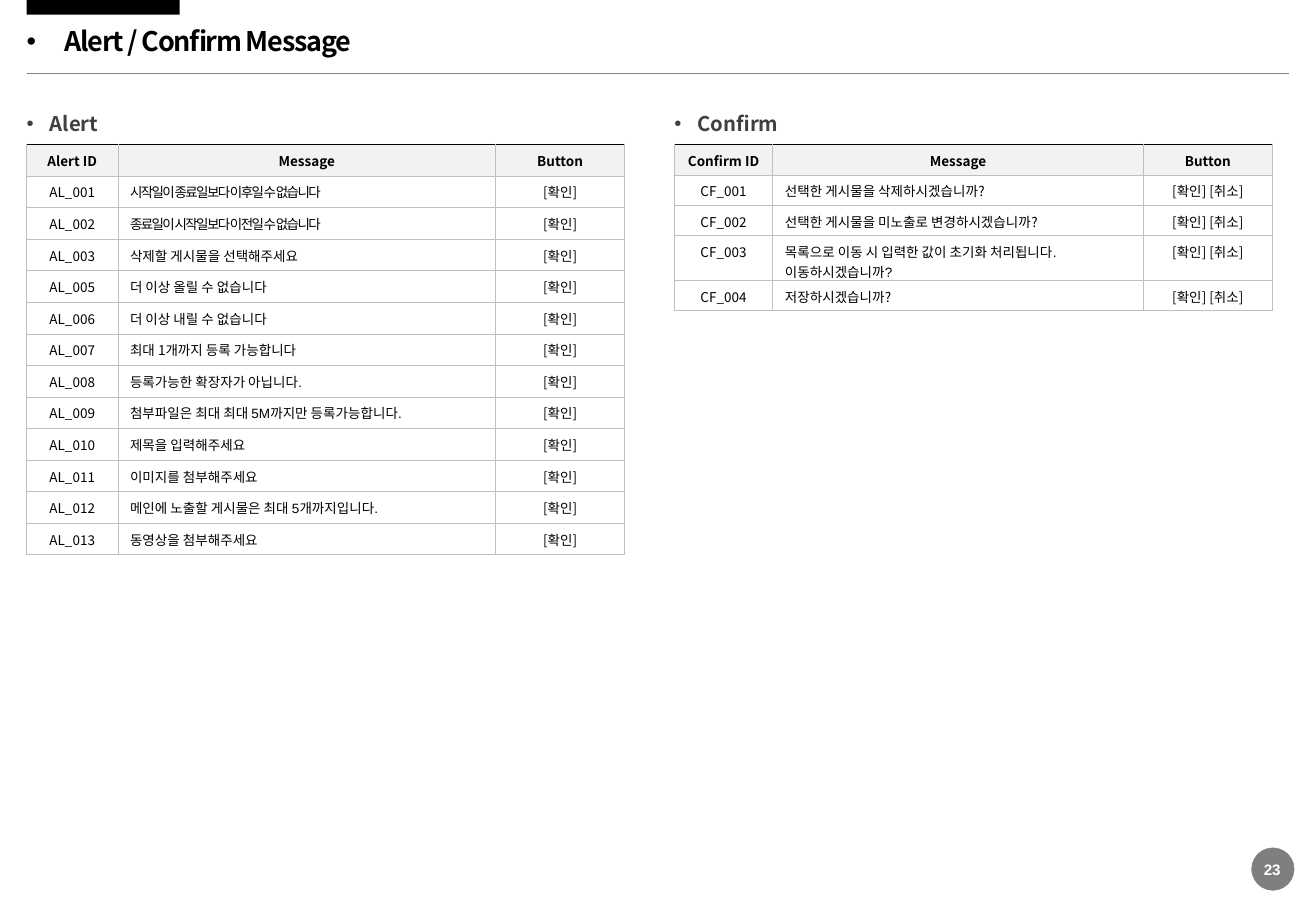
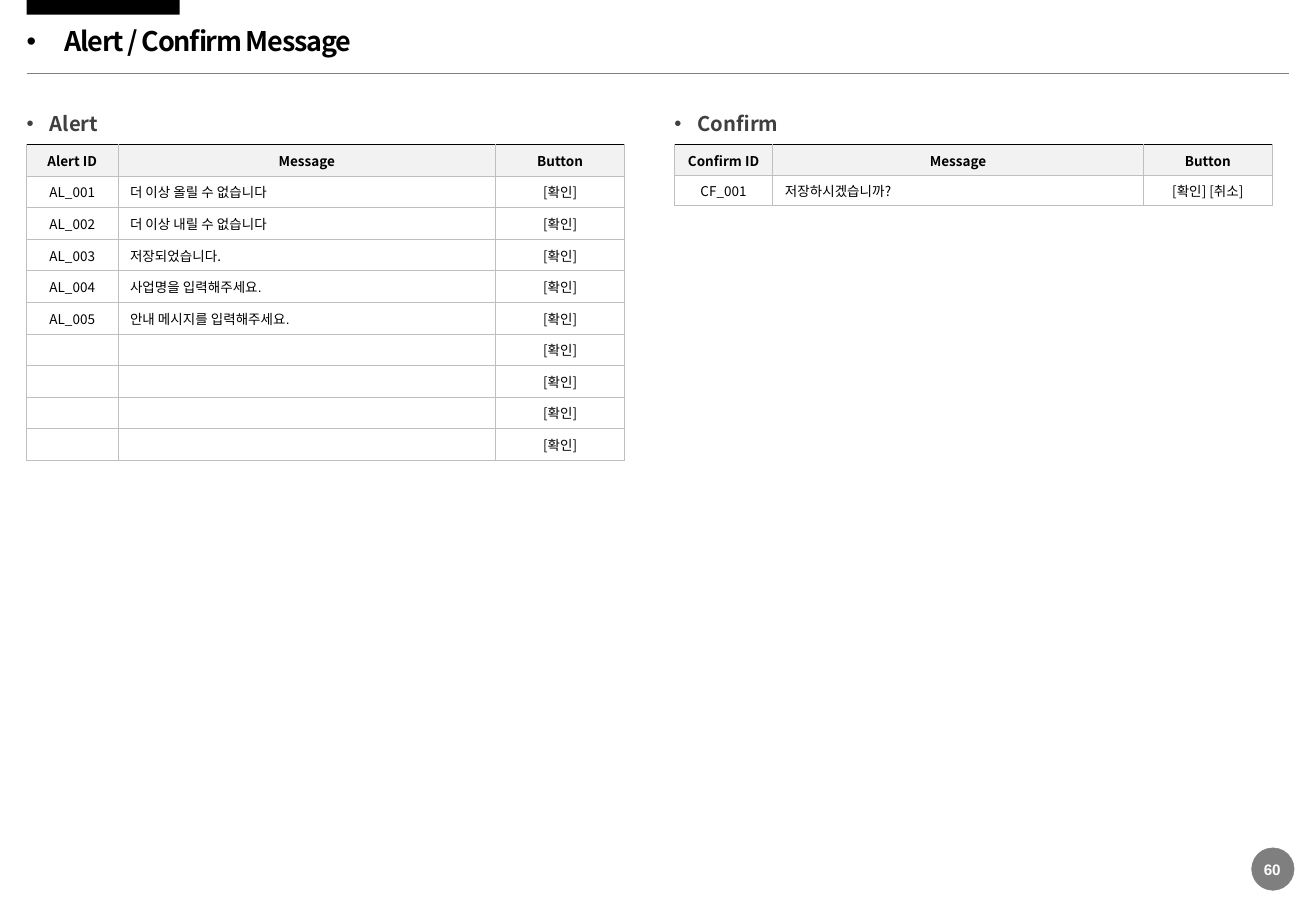
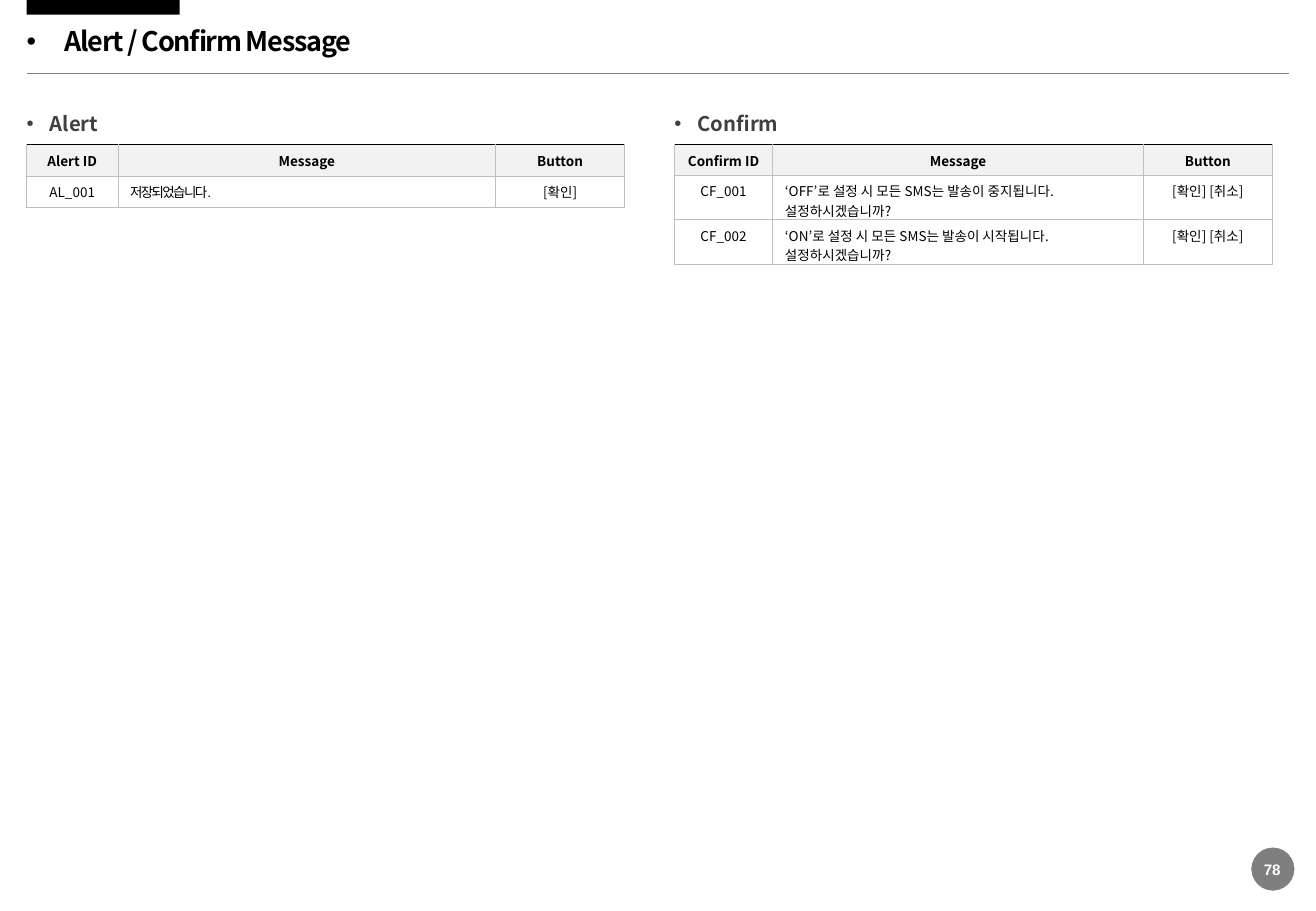
import collections

import pptx
import pptx.dml.color
import pptx.enum.shapes
import pptx.enum.text
import pptx.oxml
import pptx.oxml.ns
import pptx.util
from lxml import etree

Inches, Pt = pptx.util.Inches, pptx.util.Pt
ALIGN = pptx.enum.text.PP_ALIGN
ANCHOR = pptx.enum.text.MSO_ANCHOR
SHAPE = pptx.enum.shapes.MSO_SHAPE
qn = pptx.oxml.ns.qn

COLORS = {"black": "000000", "white": "FFFFFF", "heading": "404040",
          "rule": "808080", "grid": "BFBFBF", "header": "F2F2F2"}
SANS, ARIAL = "Noto Sans CJK KR", "Arial"
WIDTH, HEIGHT = 10.83, 7.5
MARGIN = 0.22
SECTION_TOP, SECTION_WIDTH = 0.92, 4.92
CONFIRM_LEFT = 5.55
HEADING_ROW = 0.27

Box = collections.namedtuple("Box", "x y w h")
Message = collections.namedtuple("Message", "id text font spacing",
                                 defaults=(SANS, 0))
# Column widths are weights; a row holding two lines of text is taller.
Kind = collections.namedtuple("Kind", "name button columns row")
ALERT = Kind("Alert", "[확인]", (0.75, 3.11, 1.06), 0.26)
CONFIRM = Kind("Confirm", "[확인] [취소]", (0.81, 3.05, 1.06), 0.25)

PAGES = [
    ("23", [
        Message("AL_001", "시작일이 종료일보다 이후일 수 없습니다", ARIAL, -1),
        Message("AL_002", "종료일이 시작일보다 이전일 수 없습니다", ARIAL, -1),
        Message("AL_003", "삭제할 게시물을 선택해주세요"),
        Message("AL_005", "더 이상 올릴 수 없습니다"),
        Message("AL_006", "더 이상 내릴 수 없습니다"),
        Message("AL_007", "최대 1개까지 등록 가능합니다"),
        Message("AL_008", "등록가능한 확장자가 아닙니다.", ARIAL),
        Message("AL_009", "첨부파일은 최대 최대 5M까지만 등록가능합니다.", ARIAL),
        Message("AL_010", "제목을 입력해주세요", ARIAL),
        Message("AL_011", "이미지를 첨부해주세요", ARIAL),
        Message("AL_012", "메인에 노출할 게시물은 최대 5개까지입니다.", ARIAL),
        Message("AL_013", "동영상을 첨부해주세요", ARIAL),
    ], [
        Message("CF_001", "선택한 게시물을 삭제하시겠습니까?"),
        Message("CF_002", "선택한 게시물을 미노출로 변경하시겠습니까?"),
        Message("CF_003", "목록으로 이동 시 입력한 값이 초기화 처리됩니다. "
                          "이동하시겠습니까?", ARIAL),
        Message("CF_004", "저장하시겠습니까?"),
    ]),
    ("60", [
        Message("AL_001", "더 이상 올릴 수 없습니다"),
        Message("AL_002", "더 이상 내릴 수 없습니다"),
        Message("AL_003", "저장되었습니다."),
        Message("AL_004", "사업명을 입력해주세요.", ARIAL),
        Message("AL_005", "안내 메시지를 입력해주세요.", ARIAL),
        *[Message("", "")] * 4,
    ], [
        Message("CF_001", "저장하시겠습니까?"),
    ]),
    ("78", [
        Message("AL_001", "저장되었습니다.", ARIAL, -1),
    ], [
        Message("CF_001", "‘OFF’로 설정 시 모든 SMS는 발송이 중지됩니다.\n설정하시겠습니까?"),
        Message("CF_002", "‘ON’로 설정 시 모든 SMS는 발송이 시작됩니다.\n설정하시겠습니까?"),
    ]),
]


def rgb(name):
    return pptx.dml.color.RGBColor.from_string(COLORS[name])


def inches(box):
    return [Inches(v) for v in box]


def write(p, text, size, color="black", font=SANS, bold=False, spacing=0,
          align=ALIGN.LEFT):
    """Fill a paragraph with text in one style; Korean always uses SANS."""
    p.text = text
    p.alignment = align
    p.font.size, p.font.bold, p.font.name = Pt(size), bold, font
    p.font.color.rgb = rgb(color)
    props = p._p.pPr.find(qn("a:defRPr"))
    etree.SubElement(props, qn("a:ea"), typeface=SANS)
    if spacing:
        props.set("spc", str(round(spacing * 100)))
    if not text:
        etree.SubElement(p._p, qn("a:endParaRPr"), sz=str(size * 100))


def bullet(p, indent):
    pPr = p._p.get_or_add_pPr()
    pPr.set("marL", str(Inches(indent)))
    pPr.set("indent", str(-Inches(indent)))
    props = pPr.find(qn("a:defRPr"))
    props.addprevious(etree.Element(qn("a:buFont"), typeface=ARIAL))
    props.addprevious(etree.Element(qn("a:buChar"), char="•"))


def add_text(slide, box, text, size, wrap=True, anchor=ANCHOR.TOP, **style):
    tf = slide.shapes.add_textbox(*inches(box)).text_frame
    tf.margin_left = tf.margin_right = tf.margin_top = tf.margin_bottom = 0
    tf.word_wrap, tf.vertical_anchor = wrap, anchor
    p = tf.paragraphs[0]
    write(p, text, size, **style)
    return p


def add_filled(slide, kind, box, color):
    sp = slide.shapes.add_shape(kind, *inches(box))
    sp.shadow.inherit = False
    sp.fill.solid()
    sp.fill.fore_color.rgb = rgb(color)
    sp.line.fill.background()
    return sp


def add_header(slide, box):
    add_filled(slide, SHAPE.RECTANGLE, Box(box.x, box.y, 1.26, 0.12), "black")
    bottom = Inches(box.y + box.h)
    rule = slide.shapes.add_connector(
        pptx.enum.shapes.MSO_CONNECTOR.STRAIGHT,
        Inches(box.x), bottom, Inches(box.x + box.w), bottom)
    rule.line.color.rgb = rgb("rule")
    rule.line.width = Pt(0.25)
    etree.SubElement(rule._element.spPr, qn("a:effectLst"))
    p = add_text(slide, Box(box.x, box.y + 0.2, 6.5, 0.31),
                 "Alert / Confirm Message", 16, bold=True, spacing=-0.7,
                 anchor=ANCHOR.MIDDLE)
    p.line_spacing, p.space_before = 0.9, Pt(8.1)
    bullet(p, 0.31)


def add_page_number(slide, box, number):
    badge = add_filled(slide, SHAPE.OVAL, box, "black")
    fill = badge._element.spPr.find(qn("a:solidFill"))
    etree.SubElement(fill[0], qn("a:alpha"), val="50000")
    badge.line.color.rgb = rgb("rule")
    badge.line.width = Pt(0.25)
    add_text(slide, Box(box.x + 0.09, box.y + 0.1, 0.16, 0.15), number, 9,
             wrap=False, anchor=ANCHOR.MIDDLE, color="white", font=ARIAL,
             bold=True, align=ALIGN.CENTER)


def add_borders(cell, is_header):
    tcPr = cell._tc.get_or_add_tcPr()
    for i, side in enumerate("LRTB"):
        strong = is_header and side == "T"
        ln = etree.Element(qn("a:ln" + side), w=str(Pt(1 if strong else 0.5)))
        fill = etree.SubElement(ln, qn("a:solidFill"))
        etree.SubElement(fill, qn("a:srgbClr"),
                         val=COLORS["black" if strong else "grid"])
        tcPr.insert(i, ln)


def add_message_table(slide, box, kind, messages):
    table = slide.shapes.add_table(len(messages) + 1, len(kind.columns),
                                   *inches(box)).table
    for column, weight in zip(table.columns, kind.columns):
        column.width = Inches(box.w * weight / sum(kind.columns))
    header = Message(kind.name + " ID", "Message")
    for r, message in enumerate([header, *messages]):
        is_header = r == 0
        table.rows[r].height = Inches(kind.row)
        button = "Button" if is_header else kind.button
        for c, text in enumerate((message.id, message.text, button)):
            cell = table.cell(r, c)
            style = {"align": ALIGN.CENTER}
            if c == 1 and not is_header:
                style = {"font": message.font, "spacing": message.spacing}
            write(cell.text_frame.paragraphs[0], text, 8, bold=is_header, **style)
            if is_header:
                cell.fill.solid()
                cell.fill.fore_color.rgb = rgb("header")
            else:
                cell.fill.background()
            add_borders(cell, is_header)


def add_section(slide, x, kind, messages):
    """Place a heading with its message table below."""
    p = add_text(slide, Box(x, SECTION_TOP, 0.91, 0.2), kind.name, 12,
                 color="heading", bold=True)
    bullet(p, 0.19)
    box = Box(x, SECTION_TOP + HEADING_ROW, SECTION_WIDTH,
              kind.row * (len(messages) + 1))
    add_message_table(slide, box, kind, messages)


def main():
    prs = pptx.Presentation()
    prs.slide_width, prs.slide_height = Inches(WIDTH), Inches(HEIGHT)
    for number, alerts, confirms in PAGES:
        slide = prs.slides.add_slide(prs.slide_layouts[6])
        add_header(slide, Box(MARGIN, 0, WIDTH - 2 * MARGIN, 0.6))
        add_page_number(slide, Box(10.3, 6.98, 0.35, 0.35), number)
        add_section(slide, MARGIN, ALERT, alerts)
        add_section(slide, CONFIRM_LEFT, CONFIRM, confirms)
    prs.save("out.pptx")


if __name__ == "__main__":
    main()
